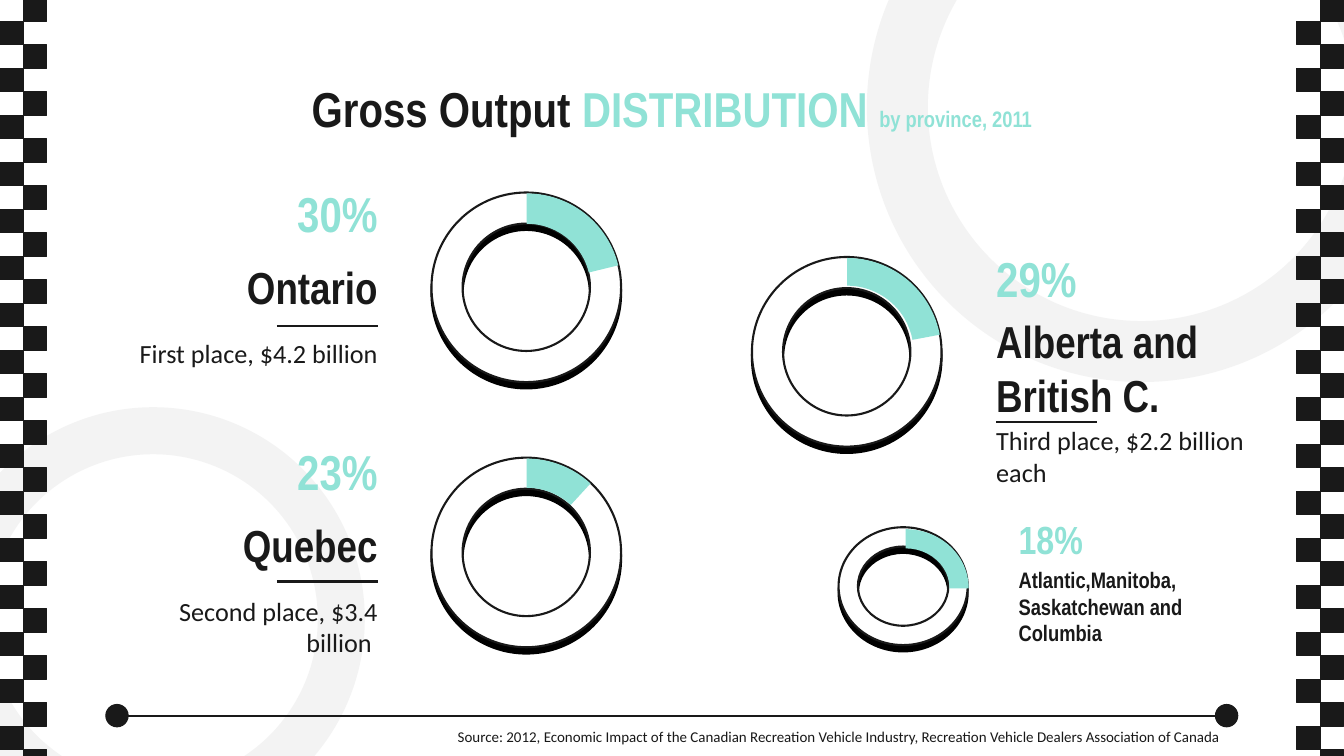
import pptx
import pptx.dml.color
import pptx.enum.shapes
import pptx.enum.text
import pptx.oxml
import pptx.oxml.ns
import pptx.util

Pt = pptx.util.Pt
SHAPE = pptx.enum.shapes.MSO_SHAPE
ALIGN = pptx.enum.text.PP_ALIGN
ANCHOR = pptx.enum.text.MSO_ANCHOR
INK, MINT, WHITE, PALE = "191919", "90E2D6", "FFFFFF", "F3F3F3"
HEADING, BODY = "Arial Narrow", "Calibri"
INSET = 9.6


def colour(hex_code):
    """Turn a hex string into a colour."""
    return pptx.dml.color.RGBColor.from_string(hex_code)


def add_effects(shape, inner=""):
    """Give a shape its own effect list, empty by default."""
    namespace = pptx.oxml.ns.nsdecls("a")
    effects = f"<a:effectLst {namespace}>{inner}</a:effectLst>"
    shape._element.spPr.append(pptx.oxml.parse_xml(effects))


def add_filled(shapes, kind, box, fill, line_width=0):
    """Add a preset shape with a plain fill and an optional ink outline."""
    shape = shapes.add_shape(kind, *map(Pt, box))
    shape.fill.solid()
    shape.fill.fore_color.rgb = colour(fill)
    if line_width:
        shape.line.color.rgb = colour(INK)
        shape.line.width = Pt(line_width)
    else:
        shape.line.fill.background()
    shape.shadow.inherit = False
    return shape


def add_rule(shapes, left, right, y):
    """Add a horizontal ink line."""
    rule = shapes.add_connector(
        pptx.enum.shapes.MSO_CONNECTOR.STRAIGHT, Pt(left), Pt(y), Pt(right), Pt(y))
    rule.line.color.rgb = colour(INK)
    rule.line.width = Pt(1.5)
    add_effects(rule)


def add_words(slide, box, words, align, font=HEADING, anchor=ANCHOR.TOP):
    """Write one paragraph from (text, size, hex colour) runs in a box."""
    frame = slide.shapes.add_textbox(*map(Pt, box)).text_frame
    frame.word_wrap = True
    frame.vertical_anchor = anchor
    frame.margin_left = frame.margin_right = Pt(INSET)
    frame.margin_top = frame.margin_bottom = Pt(INSET)
    paragraph = frame.paragraphs[0]
    paragraph.alignment = align
    for text, size, hex_code in words:
        run = paragraph.add_run()
        run.text = text
        run.font.name = font
        run.font.size = Pt(size)
        run.font.bold = font == HEADING
        run.font.color.rgb = colour(hex_code)


def add_backdrop(slide):
    """Place the two pale rings behind the content."""
    for box in ((-41.8, 290.9, 302.4, 302.4), (619.2, -119.5, 392.4, 392.4)):
        ring = add_filled(slide.shapes, SHAPE.DONUT, box, PALE)
        ring.adjustments[0] = 0.111


def add_checkers(slide, left, top, side, rows):
    """Draw a two-column chequered strip as one group."""
    strip = slide.shapes.add_group_shape()
    for row in range(rows):
        column = 1 - row % 2
        box = (left + column * side, top + row * side, side, side)
        add_filled(strip.shapes, SHAPE.RECTANGLE, box, INK, 0.75)


def add_headline(slide, box, share, name, align, name_drop, sizes=(35, 32)):
    """Write a share with the province name below it."""
    left, top, width, height = box
    add_words(slide, box, [(share, sizes[0], MINT)], align, anchor=ANCHOR.MIDDLE)
    name_box = (left, top + name_drop, width, height)
    add_words(slide, name_box, [(name, sizes[1], INK)], align)


def add_note(slide, box, note, align, rule_y):
    """Write the ranking of a province and its short rule."""
    left, top, width, height = box
    add_words(slide, box, [(note, 18.7, INK)], align, BODY)
    rule_left = left + INSET if align == ALIGN.LEFT else left + width - INSET - 72
    add_rule(slide.shapes, rule_left, rule_left + 72, rule_y)


def add_share_ring(slide, box, sweep, thickness, wedge_fit=(0.7, 0.7, -0.8, -0.8)):
    """Draw a ring with a mint wedge running clockwise from the top."""
    ring = add_filled(slide.shapes, SHAPE.DONUT, box, WHITE, 1.5)
    ring.adjustments[0] = 0.164
    ring.shadow.inherit = True
    add_effects(ring, '<a:outerShdw blurRad="0" dist="57150" dir="5400000" algn="t" '
                      'rotWithShape="0"><a:srgbClr val="000000"/></a:outerShdw>')
    left, top, width, height = (a + b for a, b in zip(box, wedge_fit))
    turned = (left + (width - height) / 2, top + (height - width) / 2, height, width)
    wedge = add_filled(slide.shapes, SHAPE.BLOCK_ARC, turned, MINT)
    wedge.rotation = 90
    wedge.adjustments[0] = 108
    wedge.adjustments[1] = 108 + sweep * 0.6
    wedge.adjustments[2] = thickness


def add_footer(slide, left, right, y):
    """Draw the dotted-end baseline and the source below it."""
    dot = 16
    footer = slide.shapes.add_group_shape()
    add_rule(footer.shapes, left + dot, right - dot, y)
    for dot_left in (left, right - dot):
        add_filled(footer.shapes, SHAPE.OVAL, (dot_left, y - dot / 2, dot, dot), INK, 0.75)
    source = ("Source: 2012, Economic Impact of the Canadian Recreation Vehicle Industry, "
              "Recreation Vehicle Dealers Association of Canada ")
    add_words(slide, (280, y + 2.2, 641, 26), [(source, 10.7, INK)], ALIGN.CENTER, BODY)


def build_distribution(slide):
    """Compose the gross output slide."""
    add_backdrop(slide)
    title = [("Gross Output ", 35, INK), ("DISTRIBUTION ", 35, MINT),
             ("by province, 2011", 16, MINT)]
    add_words(slide, (75.6, 46.8, 808.6, 60.5), title, ALIGN.CENTER)

    ranked = [
        ("30%", "Ontario", "First place, $4.2 billion",
         75.6, 128.9, ALIGN.RIGHT, 46.8, 102.2, 103.7),
        ("29%", "Alberta and British C.", "Third place, $2.2 billion each",
         702, 175, ALIGN.LEFT, 39.6, 118.8, 126.7),
        ("23%", "Quebec", "Second place, $3.4 billion ",
         75.6, 313.2, ALIGN.RIGHT, 46.8, 102.2, 102.2),
    ]
    for share, name, note, left, top, align, name_drop, note_drop, rule_drop in ranked:
        add_headline(slide, (left, top, 203.8, 46.8), share, name, align, name_drop)
        add_note(slide, (left, top + note_drop, 203.8, 60.5), note, align, top + rule_drop)
    add_headline(slide, (718, 370.8, 172.8, 28.8), "18%",
                 "Atlantic,Manitoba, Saskatchewan and Columbia", ALIGN.LEFT, 23.8, (28, 16))

    for left, top, sweep, thickness in ((308.2, 137.5, 76.3, 0.161),
                                        (537.1, 183.6, 79.3, 0.147),
                                        (308.2, 326.9, 42.63, 0.155)):
        add_share_ring(slide, (left, top, 135.4, 135.4), sweep, thickness)
    add_share_ring(slide, (599, 376.6, 92.2, 84.2), 90.34, 0.163, (2.9, 1.4, -2.2, 0))

    for left in (0, 926.4):
        add_checkers(slide, left, -1.44, 16.78, 33)
    add_footer(slide, 75.6, 884.2, 511.2)


def main():
    """Build and save the presentation."""
    deck = pptx.Presentation()
    deck.slide_width, deck.slide_height = Pt(960), Pt(540)
    build_distribution(deck.slides.add_slide(deck.slide_layouts[6]))
    deck.save("out.pptx")


if __name__ == "__main__":
    main()
